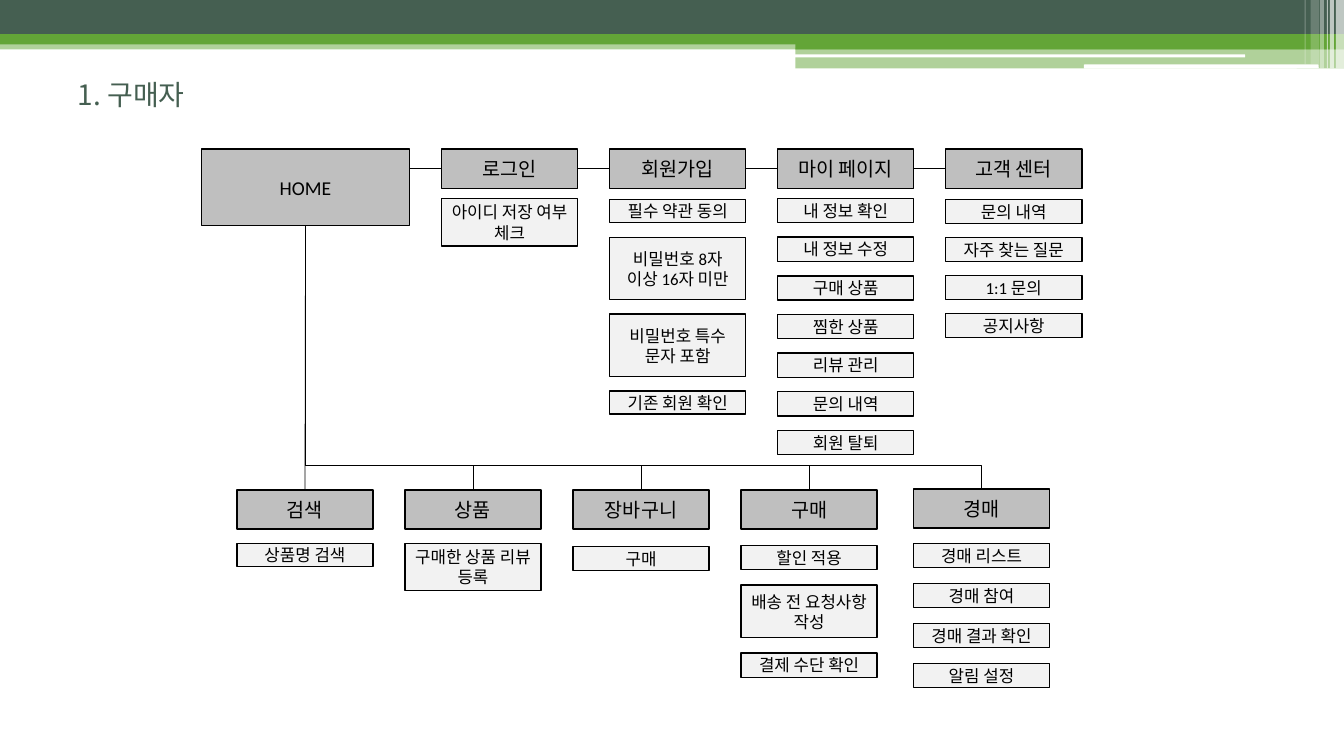
from lxml import etree
from pptx import Presentation
from pptx.dml.color import RGBColor
from pptx.enum.shapes import MSO_CONNECTOR, MSO_SHAPE
from pptx.enum.text import MSO_ANCHOR, PP_ALIGN
from pptx.oxml.ns import qn
from pptx.util import Inches, Pt

RECT, ROUND = MSO_SHAPE.RECTANGLE, MSO_SHAPE.ROUNDED_RECTANGLE
LINE, ELBOW = MSO_CONNECTOR.STRAIGHT, MSO_CONNECTOR.ELBOW
CENTER, LEFT = PP_ALIGN.CENTER, PP_ALIGN.LEFT
MIDDLE = MSO_ANCHOR.MIDDLE
TOP_SIDE, LEFT_SIDE, BOTTOM_SIDE, RIGHT_SIDE = range(4)

BLACK = RGBColor(0, 0, 0)
WHITE = RGBColor(0xFF, 0xFF, 0xFF)
DARK = RGBColor(0x45, 0x5F, 0x51)
GREEN = RGBColor(0x63, 0xA5, 0x37)
GRAY = RGBColor(0xBF, 0xBF, 0xBF)
PALE = RGBColor(0xF2, 0xF2, 0xF2)

BOX_W, HEAD_H, ITEM_H = 1.35, 0.39, 0.24
STEP = 5 / 3  # distance between columns
BUS_Y = 4.62  # height of the shared horizontal line

# Bands: left, top, width, height, colour, opacity in percent, shape
BANDS = [
    (0, 0.4, 13.33, 0.09, GREEN, 50, RECT),
    (0, 0, 13.33, 0.34, DARK, 100, RECT),
    (0, 0.34, 13.33, 0.1, GREEN, 100, RECT),
    (7.89, 0.39, 5.44, 0.1, GREEN, 100, RECT),
    (7.89, 0.48, 5.44, 0.2, GREEN, 50, RECT),
    (7.88, 0.54, 4.47, 0.03, WHITE, 100, ROUND),
    (10.75, 0.64, 2.33, 0.04, WHITE, 100, ROUND),
    (13.25, 0, 0.08, 0.68, WHITE, 65, RECT),
    (13.19, 0, 0.04, 0.68, WHITE, 65, RECT),
    (13.16, 0, 0.01, 0.68, WHITE, 60, RECT),
    (13.09, 0, 0.04, 0.68, WHITE, 40, RECT),
    (13, 0, 0.08, 0.64, WHITE, 20, RECT),
    (12.94, 0, 0.01, 0.64, WHITE, 30, RECT),
]

# Columns: heading, top and bottom of the items, items as (text, height)
UPPER = [
    ("로그인", 1.97, 2.44, [("아이디 저장 여부 체크", 0.47)]),
    ("회원가입", 1.98, 4.11, [
        ("필수 약관 동의", 0.23), ("비밀번호 8자 이상 16자 미만", 0.62),
        ("비밀번호 특수 문자 포함", 0.62), ("기존 회원 확인", 0.23)]),
    ("마이 페이지", 1.97, 4.51, [
        (text, ITEM_H) for text in ("내 정보 확인", "내 정보 수정", "구매 상품", "찜한 상품",
                                    "리뷰 관리", "문의 내역", "회원 탈퇴")]),
    ("고객 센터", 1.98, 3.35, [
        (text, ITEM_H) for text in ("문의 내역", "자주 찾는 질문", "1:1 문의", "공지사항")]),
]
LOWER = [
    ("검색", 5.39, 5.62, [("상품명 검색", 0.23)]),
    ("상품", 5.39, 5.86, [("구매한 상품 리뷰 등록", 0.47)]),
    ("장바구니", 5.42, 5.66, [("구매", ITEM_H)]),
    ("구매", 5.41, 6.72, [
        ("할인 적용", ITEM_H), ("배송 전 요청사항 작성", 0.52), ("결제 수단 확인", ITEM_H)]),
]
AUCTION = ("경매", 5.39, 6.82, [
    (text, ITEM_H) for text in ("경매 리스트", "경매 참여", "경매 결과 확인", "알림 설정")])


class Board:
    def __init__(self, deck):
        self.slide = deck.slides.add_slide(deck.slide_layouts[5])
        self.shapes = self.slide.shapes
        self.font = "Calibri"

    def label(self, frame, text, size, color, font, align):
        frame.word_wrap = True
        frame.vertical_anchor = MIDDLE
        frame.text = text
        para = frame.paragraphs[0]
        para.alignment = align
        para.font.size = Pt(size)
        para.font.name = font
        para.font.color.rgb = color

    def title(self, text):
        head = self.shapes.title
        head.left, head.top = Inches(0.67), Inches(0.72)
        head.width, head.height = Inches(12), Inches(0.44)
        self.label(head.text_frame, text, 20, DARK, "Noto Sans CJK KR", LEFT)

    def shape(self, kind, x, y, w, h, fill):
        item = self.shapes.add_shape(kind, Inches(x), Inches(y), Inches(w), Inches(h))
        item.shadow.inherit = False
        item.fill.solid()
        item.fill.fore_color.rgb = fill
        return item

    def band(self, x, y, w, h, fill, opacity, kind):
        item = self.shape(kind, x, y, w, h, fill)
        item.line.fill.background()
        if opacity < 100:
            color = item._element.spPr.find(".//" + qn("a:srgbClr"))
            etree.SubElement(color, qn("a:alpha")).set("val", str(opacity * 1000))

    def box(self, x, y, w, h, text, fill, size):
        item = self.shape(RECT, x, y, w, h, fill)
        item.line.color.rgb = BLACK
        item.line.width = Pt(1)
        self.label(item.text_frame, text, size, BLACK, self.font, CENTER)
        return item

    def column(self, x, y, name, top, bottom, items):
        """Draw a heading with evenly spaced items and return the heading."""
        head = self.box(x, y, BOX_W, HEAD_H, name, GRAY, 14)
        free = bottom - top - sum(height for _, height in items)
        gap = free / max(len(items) - 1, 1)
        for text, height in items:
            self.box(x, top, BOX_W, height, text, PALE, 12)
            top += height + gap
        return head

    def wire(self, kind, x1, y1, x2, y2):
        line = self.shapes.add_connector(kind, x1, y1, x2, y2)
        line.line.color.rgb = BLACK
        line.line.width = Pt(0.5)
        etree.SubElement(line._element.spPr, qn("a:effectLst"))
        return line

    def link(self, start, end, from_side, to_side):
        line = self.wire(LINE, 0, 0, 0, 0)
        line.begin_connect(start, from_side)
        line.end_connect(end, to_side)

    def branch(self, start, end):
        """Go down from start, across at BUS_Y, then down to end."""
        line = self.wire(ELBOW, 0, 0, 0, 0)
        line.begin_connect(start, BOTTOM_SIDE)
        line.end_connect(end, TOP_SIDE)
        x1, y1 = start.left + start.width // 2, start.top + start.height
        x2, y2 = end.left + end.width // 2, end.top
        across, down = x2 - x1, y2 - y1
        # A quarter turn swaps width and height around the centre
        line.left, line.top = (x1 + x2 - down) // 2, (y1 + y2 - across) // 2
        line.width, line.height = down, across
        props = line._element.spPr
        frame = props.find(qn("a:xfrm"))
        frame.set("rot", "16200000")
        frame.set("flipH", "1")
        bend = etree.SubElement(props.find(".//" + qn("a:avLst")), qn("a:gd"))
        bend.set("name", "adj1")
        bend.set("fmla", f"val {round((Inches(BUS_Y) - y1) / down * 100000)}")


def main():
    deck = Presentation()
    deck.slide_width, deck.slide_height = Inches(13.33), Inches(7.5)
    board = Board(deck)

    # Header bands and title
    for band in BANDS:
        board.band(*band)
    board.title("1. 구매자")

    # Upper row, chained from the home box
    home = board.box(2, 1.48, 2.06, 0.76, "HOME", GRAY, 14)
    heads = [board.column(4.38 + i * STEP, 1.48, *col) for i, col in enumerate(UPPER)]
    level = heads[0].top + heads[0].height // 2
    first = board.wire(LINE, home.left + home.width, level, heads[0].left, level)
    first.end_connect(heads[0], LEFT_SIDE)
    for start, end in zip(heads, heads[1:]):
        board.link(start, end, RIGHT_SIDE, LEFT_SIDE)

    # Lower row, branching from the home box
    heads = [board.column(2.35 + i * STEP, 4.86, *col) for i, col in enumerate(LOWER)]
    heads.append(board.column(9.06, 4.85, *AUCTION))
    board.link(home, heads[0], BOTTOM_SIDE, TOP_SIDE)
    for head in heads[1:]:
        board.branch(home, head)

    deck.save("out.pptx")


if __name__ == "__main__":
    main()
